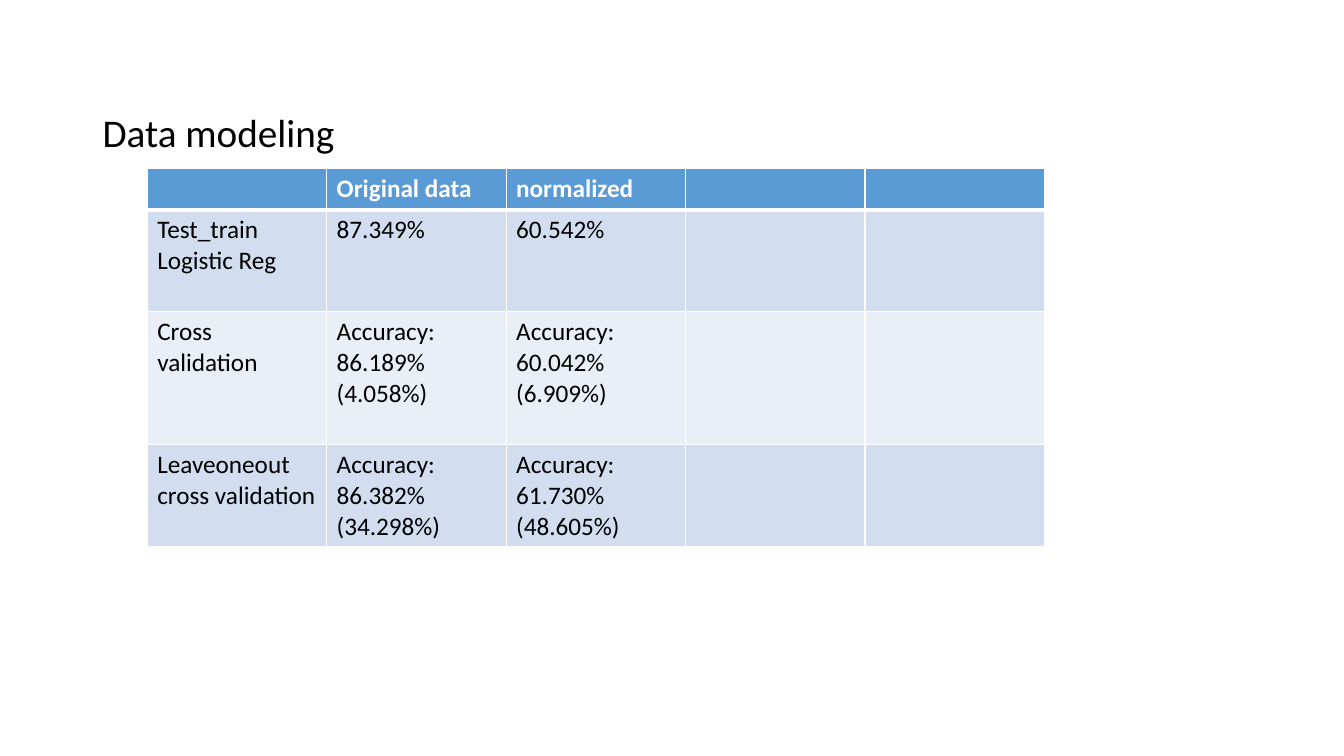
from lxml import etree
from pptx import Presentation
from pptx.dml.color import RGBColor
from pptx.oxml.ns import qn
from pptx.util import Inches, Pt

TITLE = "Data modeling"
ROWS = [
    ("", "Original data", "normalized", "", ""),
    ("Test_train Logistic Reg", "87.349%", "60.542%", "", ""),
    ("Cross validation", "Accuracy: 86.189% (4.058%)",
     "Accuracy: 60.042% (6.909%)", "", ""),
    ("Leaveoneout cross validation", "Accuracy: 86.382% (34.298%)",
     "Accuracy: 61.730% (48.605%)", "", ""),
]
HEIGHTS = [0.41, 1.01, 1.32, 1.01]
WIDTH = 1.78
THEME = {
    "font": "Calibri", "title": 28, "body": 18,
    "ink": "000000", "white": "FFFFFF",
    "head": "5B9BD5", "bands": ("EAEFF7", "D2DEEF"),
    "thin": 1, "thick": 3,
}


def style(par, size, color, bold=False):
    for run in par.runs:
        font = run.font
        font.name, font.size, font.bold = THEME["font"], Pt(size), bold
        font.color.rgb = RGBColor.from_string(color)


def border(cell, widths):
    """Draw white cell edges; widths are points for left, right, top, bottom."""
    props = cell._tc.get_or_add_tcPr()
    for spot, (side, width) in enumerate(zip("LRTB", widths)):
        line = etree.Element(qn(f"a:ln{side}"), w=str(Pt(width)))
        fill = etree.SubElement(line, qn("a:solidFill"))
        etree.SubElement(fill, qn("a:srgbClr"), val=THEME["white"])
        props.insert(spot, line)


def add_title(slide):
    box = slide.shapes.add_textbox(
        Inches(0.92), Inches(1.08), Inches(11.5), Inches(4.76))
    frame = box.text_frame
    frame.word_wrap = True
    frame.text = TITLE
    par = frame.paragraphs[0]
    par.line_spacing, par.space_before = 0.9, Pt(10)
    style(par, THEME["title"], THEME["ink"])


def add_scores(slide):
    count = len(ROWS[0])
    table = slide.shapes.add_table(
        len(ROWS), count, Inches(1.46), Inches(1.67),
        Inches(WIDTH * count), Inches(sum(HEIGHTS))).table
    for col in table.columns:
        col.width = Inches(WIDTH)
    thin, thick = THEME["thin"], THEME["thick"]
    for r, (texts, height) in enumerate(zip(ROWS, HEIGHTS)):
        table.rows[r].height = Inches(height)
        head = r == 0
        back = THEME["head"] if head else THEME["bands"][r % 2]
        ink = THEME["white"] if head else THEME["ink"]
        edges = (thin, thin, thick if r == 1 else thin, thick if head else thin)
        for c, words in enumerate(texts):
            cell = table.cell(r, c)
            cell.fill.solid()
            cell.fill.fore_color.rgb = RGBColor.from_string(back)
            border(cell, edges)
            if words:
                cell.text_frame.text = words
                style(cell.text_frame.paragraphs[0], THEME["body"], ink, head)


def main():
    deck = Presentation()
    deck.slide_width, deck.slide_height = Inches(13.33), Inches(7.5)
    slide = deck.slides.add_slide(deck.slide_layouts[6])
    add_title(slide)
    add_scores(slide)
    deck.save("out.pptx")


if __name__ == "__main__":
    main()
